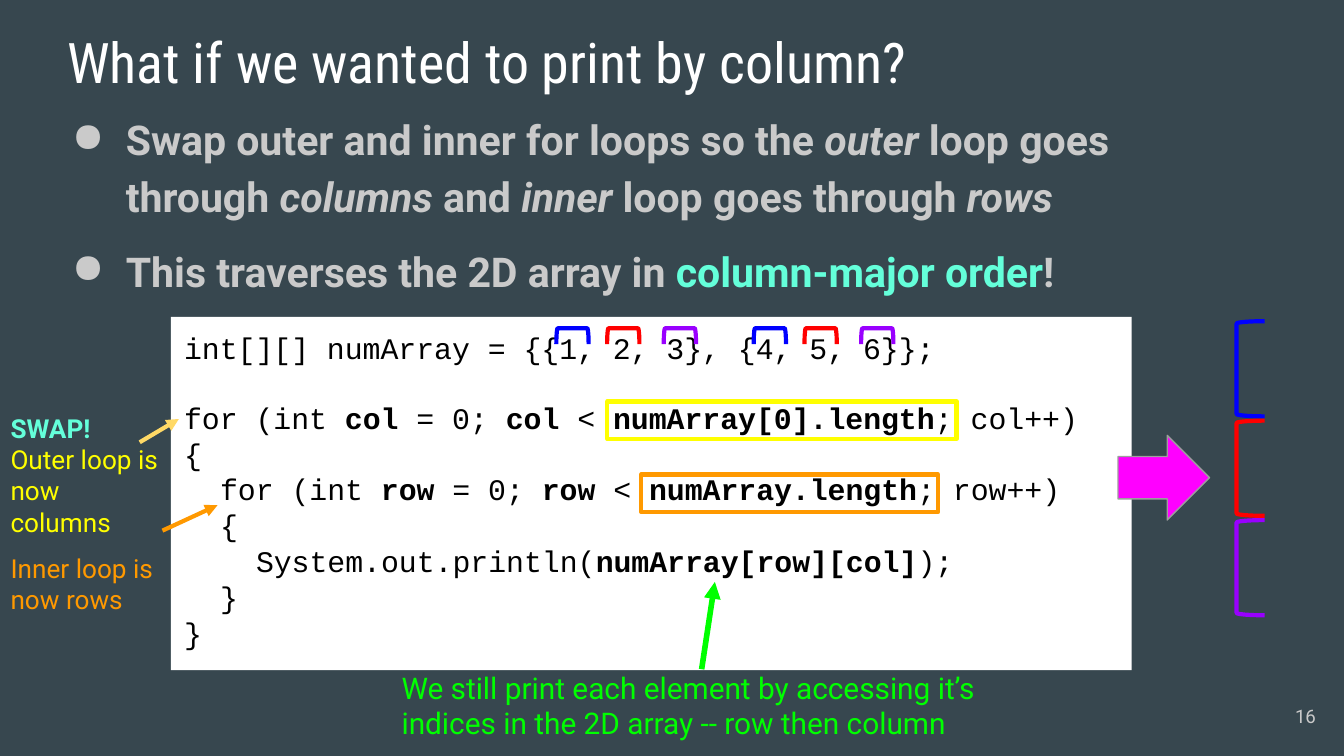
from pptx import Presentation
from pptx.dml.color import RGBColor
from pptx.enum.shapes import MSO_CONNECTOR as Connector, MSO_SHAPE as Shape
from pptx.enum.text import MSO_ANCHOR as Anchor, PP_ALIGN as Align
from pptx.oxml.ns import qn
from pptx.util import Cm, Pt
from lxml.etree import SubElement

SLATE = RGBColor(0x37, 0x47, 0x4F)
WHITE = RGBColor(0xFF, 0xFF, 0xFF)
BLACK = RGBColor(0x00, 0x00, 0x00)
SILVER = RGBColor(0xCA, 0xCA, 0xCA)
GRAY = RGBColor(0x9E, 0x9E, 0x9E)
AQUA = RGBColor(0x64, 0xFF, 0xDA)
BLUE = RGBColor(0x00, 0x00, 0xFF)
RED = RGBColor(0xFF, 0x00, 0x00)
PURPLE = RGBColor(0x99, 0x00, 0xFF)
MAGENTA = RGBColor(0xFF, 0x00, 0xFF)
YELLOW = RGBColor(0xFF, 0xFF, 0x00)
GOLD = RGBColor(0xFF, 0xD9, 0x66)
ORANGE = RGBColor(0xFF, 0x99, 0x00)
GREEN = RGBColor(0x00, 0xFF, 0x00)

BOLD = {"bold": True}
ITALIC = {"italic": True}

TITLE = [({}, ["What if we wanted to print by column?"])]
BULLETS = [
    ({"line_spacing": 1.15},
     ["Swap outer and inner for loops so the ", ("outer ", ITALIC),
      "loop goes through ", ("columns", ITALIC), " and ", ("inner ", ITALIC),
      "loop goes through ", ("rows", ITALIC)]),
    ({"line_spacing": 1.15, "space_before": Pt(10), "space_after": Pt(10)},
     ["This traverses the 2D array in ",
      ("column-major order", {"color": AQUA}), "!"]),
]
CODE = [
    (0, ["int[][] numArray = {{1, 2, 3}, {4, 5, 6}};"]),
    (0, ["for (int ", ("col ", BOLD), "= 0; ", ("col", BOLD), " < ",
         ("numArray[0].length", BOLD), "; col++)"]),
    (0, ["{"]),
    (1, ["for (int ", ("row ", BOLD), "= 0; ", ("row ", BOLD), "< ",
         ("numArray.length", BOLD), "; row++)"]),
    (1, ["{"]),
    (2, ["System.out.println(", ("numArray[row][col]", BOLD), ");"]),
    (1, ["}"]),
    (0, ["}"]),
]
SWAP_NOTE = [
    ({}, [("SWAP!", {"bold": True, "color": AQUA})]),
    ({}, [("Outer loop is now columns", {"color": YELLOW})]),
    ({"space_before": Pt(8)}, ["Inner loop is now rows"]),
]
PRINT_NOTE = [({}, ["We still print each element by accessing it’s indices "
                    "in the 2D array -- row then column"])]
PAGE_NUMBER = [({"alignment": Align.RIGHT}, ["16"])]

COLUMN_COLORS = [BLUE, RED, PURPLE]
DIGIT_LEFTS = [10.67, 11.63, 12.7]
ROW_SHIFT = 3.73
OUTPUT_TOP, OUTPUT_PITCH = 6.07, 1.88
HIGHLIGHTS = [((11.48, 7.59, 6.6, 0.71), YELLOW),
              ((12.12, 8.97, 5.61, 0.71), ORANGE)]
POINTERS = [((2.64, 8.36, 3.38, 7.92), GOLD, 2.25),
            ((3.07, 10.03, 4.11, 9.55), ORANGE, 2.25),
            ((13.26, 12.65, 13.51, 11), GREEN, 3)]
INDENT_STEP = 0.68


def lengths(values):
    return [Cm(value) for value in values]


def set_formats(target, formats):
    for name, value in formats.items():
        if name == "color":
            target.color.rgb = value
        else:
            setattr(target, name, value)


def write(box, paragraphs, **font):
    frame = box.text_frame
    frame.word_wrap = True
    set_formats(frame, dict.fromkeys(
        ["margin_left", "margin_top", "margin_right", "margin_bottom"], Cm(0.25)))
    for index, (formats, spans) in enumerate(paragraphs):
        para = frame.add_paragraph() if index else frame.paragraphs[0]
        set_formats(para, {"alignment": Align.LEFT, **formats})
        for item in spans:
            text, extra = (item, {}) if isinstance(item, str) else item
            span = para.add_run()
            span.text = text
            set_formats(span.font, {**font, **extra})
    return frame


def add_text(page, place, paragraphs, **font):
    return write(page.shapes.add_textbox(*lengths(place)), paragraphs, **font)


def add_figure(page, kind, place, fill=None, line=None, width=2.25, rotation=0):
    figure = page.shapes.add_shape(kind, *lengths(place))
    figure.shadow.inherit = False
    figure.rotation = rotation
    if fill is None:
        figure.fill.background()
    else:
        figure.fill.solid()
        figure.fill.fore_color.rgb = fill
    if line is None:
        figure.line.fill.background()
    else:
        figure.line.color.rgb = line
        figure.line.width = Pt(width)
    return figure


def add_pointer(page, ends, color, width):
    pointer = page.shapes.add_connector(Connector.STRAIGHT, *lengths(ends))
    pointer.line.color.rgb = color
    pointer.line.width = Pt(width)
    SubElement(pointer.line._get_or_add_ln(), qn("a:tailEnd"), type="triangle")
    SubElement(pointer._element.spPr, qn("a:effectLst"))


def add_bullet(para):
    properties = para._p.get_or_add_pPr()
    properties.set("marL", str(Cm(1.27)))
    properties.set("indent", str(Cm(-1.02)))
    SubElement(properties, qn("a:buChar"), char="●")


def add_code(page):
    box = add_figure(page, Shape.RECTANGLE, (3.23, 5.99, 18.16, 6.68), WHITE)
    frame = write(box, [({}, spans) for _, spans in CODE],
                  name="Courier New", size=Pt(16), color=BLACK)
    frame.vertical_anchor = Anchor.TOP
    frame.paragraphs[1].space_before = Pt(18)
    for para, (level, _) in zip(frame.paragraphs, CODE):
        properties = para._p.get_or_add_pPr()
        properties.set("marL", str(Cm(level * INDENT_STEP)))
        properties.set("indent", "0")


def add_brackets(page):
    for index, (color, left) in enumerate(zip(COLUMN_COLORS, DIGIT_LEFTS)):
        for row in range(2):
            add_figure(page, Shape.RIGHT_BRACKET,
                       (left + row * ROW_SHIFT, 6.05, 0.3, 0.61),
                       line=color, rotation=270)
        add_figure(page, Shape.RIGHT_BRACKET,
                   (23.37, OUTPUT_TOP + index * OUTPUT_PITCH, 0.53, 1.8),
                   line=color, rotation=180)


def main():
    deck = Presentation()
    deck.slide_width, deck.slide_height = Cm(25.4), Cm(14.29)
    page = deck.slides.add_slide(deck.slide_layouts[6])
    page.background.fill.solid()
    page.background.fill.fore_color.rgb = SLATE

    add_text(page, (1.02, 0.28, 23.67, 1.6), TITLE,
             name="Roboto Condensed", size=Pt(30), color=WHITE)
    body = add_text(page, (0.86, 1.78, 22.71, 2.95), BULLETS,
                    name="Roboto", size=Pt(22), color=SILVER, bold=True)
    for para in body.paragraphs:
        add_bullet(para)
    number = add_text(page, (23.6, 13, 1.52, 1.09), PAGE_NUMBER,
                      name="Roboto", size=Pt(10), color=SILVER)
    number.vertical_anchor = Anchor.MIDDLE

    add_code(page)
    add_brackets(page)
    add_figure(page, Shape.RIGHT_ARROW, (21.13, 8.23, 1.73, 1.6),
               MAGENTA, GRAY, 0.75)
    add_text(page, (-0.05, 7.54, 3.3, 5), SWAP_NOTE,
             name="Roboto", size=Pt(14), color=ORANGE)
    add_text(page, (7.34, 12.4, 11.48, 1.88), PRINT_NOTE,
             name="Roboto", size=Pt(16), color=GREEN)
    for ends, color, width in POINTERS:
        add_pointer(page, ends, color, width)
    for place, color in HIGHLIGHTS:
        add_figure(page, Shape.RECTANGLE, place, line=color)
    deck.save("out.pptx")


if __name__ == "__main__":
    main()
